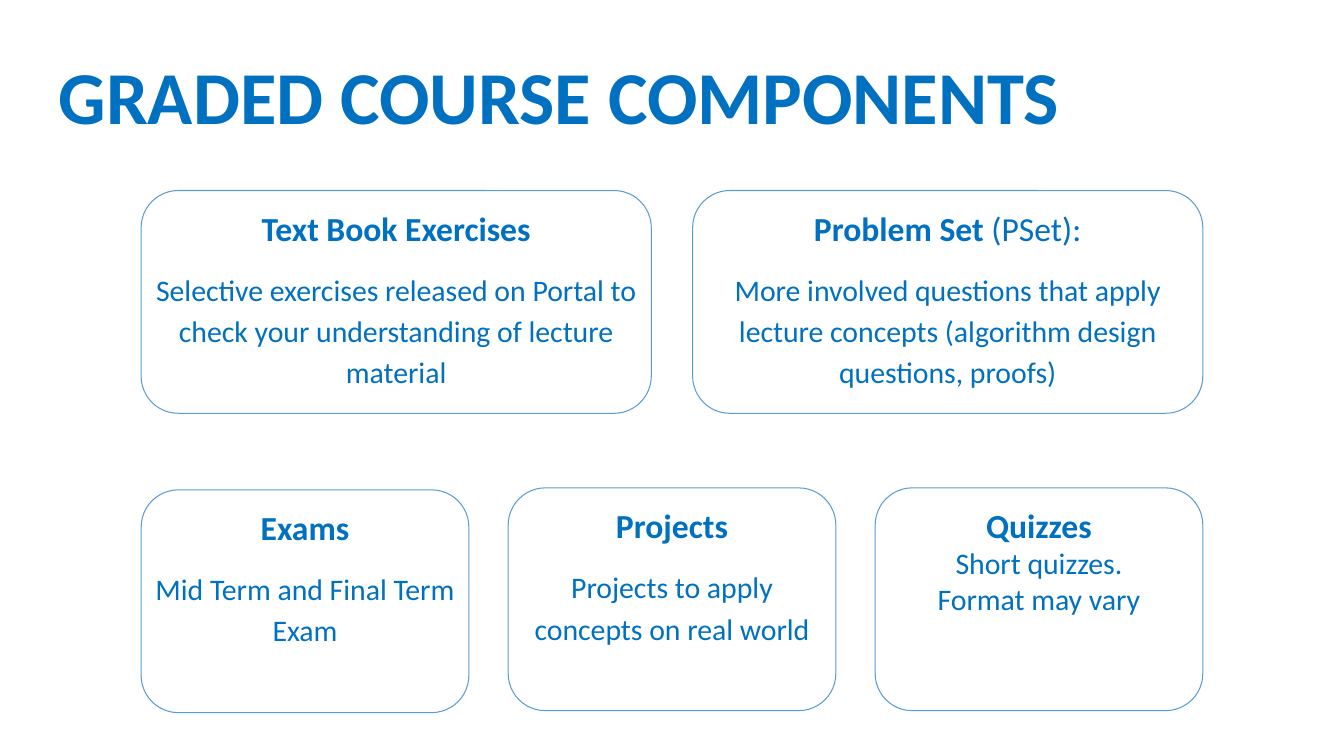
from dataclasses import dataclass

from pptx import Presentation
from pptx.dml.color import RGBColor as Rgb
from pptx.enum.shapes import MSO_SHAPE as Shape
from pptx.enum.text import MSO_ANCHOR as Anchor, MSO_AUTO_SIZE as Fit, PP_ALIGN as Align
from pptx.util import Pt

PX = 9144  # EMU in one px, 100 px to the inch


@dataclass(frozen=True)
class Theme:
    font: str = "Calibri"
    ink: Rgb = Rgb(0x00, 0x70, 0xC0)
    edge: Rgb = Rgb(0x5B, 0x9B, 0xD5)
    paper: Rgb = Rgb(0xFF, 0xFF, 0xFF)
    title: float = 53.3
    head: float = 24
    body: float = 21.3


THEME = Theme()

# Each card: bold head, light tail of the head, body lines
TOP = [
    ("Text Book Exercises", "",
     ["Selective exercises released on Portal to check your understanding of lecture material"]),
    ("Problem Set ", "(PSet):",
     ["More involved questions that apply lecture concepts (algorithm design questions, proofs)"]),
]
LOW = [
    ("Exams", "", ["Mid Term and Final Term Exam"]),
    ("Projects", "", ["Projects to apply concepts on real world"]),
    ("Quizzes", "", ["Short quizzes.", "Format may vary"]),
]


def place(shape, box):
    shape.left, shape.top, shape.width, shape.height = (n * PX for n in box)


def inset(frame, gap):
    frame.margin_left = frame.margin_right = gap * PX
    frame.margin_top = frame.margin_bottom = gap * PX
    frame.word_wrap = True


def style(para, size, bold=None, align=Align.CENTER, lead=1.0):
    font = para.font
    font.name, font.size, font.bold = THEME.font, Pt(size), bold
    font.color.rgb = THEME.ink
    para.alignment, para.line_spacing = align, lead


def header(slide, box, text):
    title = slide.shapes.title
    place(title, box)
    title.line.color.rgb = THEME.paper
    title.line.width = Pt(2.25)
    frame = title.text_frame
    inset(frame, 13)
    frame.auto_size = Fit.NONE
    frame.vertical_anchor = Anchor.MIDDLE
    frame.text = text
    style(frame.paragraphs[0], THEME.title, True, Align.LEFT, 0.9)


def card(slide, box, head, tail, lines):
    shape = slide.shapes.add_shape(Shape.ROUNDED_RECTANGLE, *(n * PX for n in box))
    shape.shadow.inherit = False
    shape.fill.solid()
    shape.fill.fore_color.rgb = THEME.paper
    shape.line.color.rgb = THEME.edge
    shape.line.width = Pt(0.75)
    frame = shape.text_frame
    inset(frame, 0)
    frame.vertical_anchor = Anchor.TOP

    # Head
    para = frame.paragraphs[0]
    para.add_run().text = head
    style(para, THEME.head, True, lead=1.15)
    if tail:
        run = para.add_run()
        run.text = tail
        run.font.bold = False

    # Body: a single paragraph is set loose, a list of lines tight
    loose = len(lines) == 1
    for line in lines:
        para = frame.add_paragraph()
        para.text = line
        style(para, THEME.body, False, lead=1.15 if loose else 1.0)
        if loose:
            para.space_before, para.space_after = Pt(13.3), Pt(21.3)


def row(slide, box, cards, gap, drops):
    left, top, width, height = box
    wide = (width - gap * (len(cards) - 1)) // len(cards)
    for i, (item, drop) in enumerate(zip(cards, drops)):
        card(slide, (left + i * (wide + gap), top + drop, wide, height), *item)


def main():
    deck = Presentation()
    deck.slide_width, deck.slide_height = 1333 * PX, 750 * PX
    slide = deck.slides.add_slide(deck.slide_layouts[5])
    header(slide, (45, 53, 1242, 94), "GRADED COURSE COMPONENTS")
    row(slide, (140, 189, 1053, 221), TOP, 41, (0, 0))
    row(slide, (140, 484, 1053, 221), LOW, 39, (2, 0, 0))  # Exams sits a touch lower
    deck.save("out.pptx")


if __name__ == "__main__":
    main()
